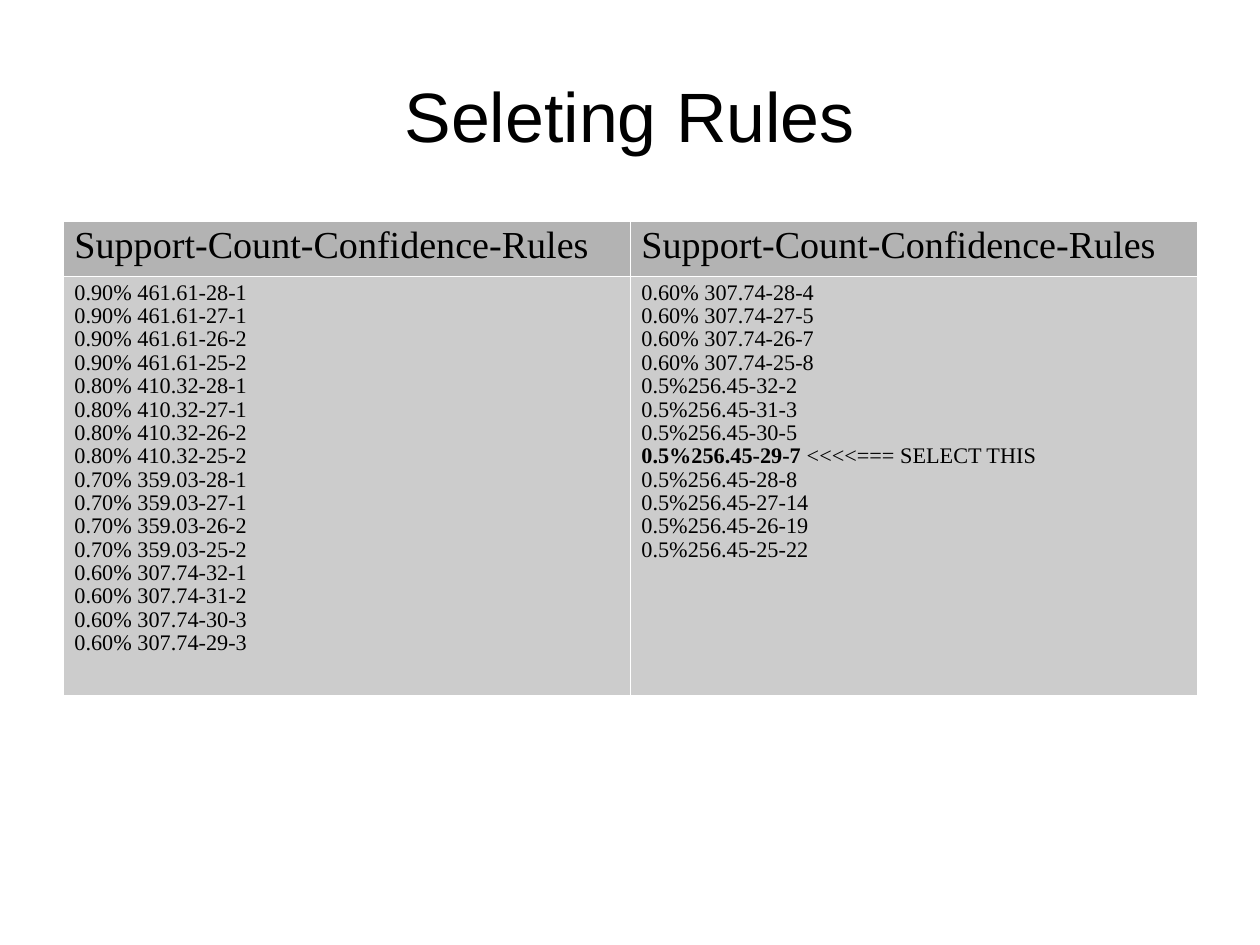
from lxml.etree import SubElement
from pptx import Presentation
from pptx.dml.color import RGBColor
from pptx.enum.text import MSO_ANCHOR as ANCHOR, PP_ALIGN as ALIGN
from pptx.oxml.ns import qn
from pptx.util import Pt

PX = 8000
BLACK = RGBColor(0x00, 0x00, 0x00)
WHITE = RGBColor(0xFF, 0xFF, 0xFF)
HEADER_GRAY = RGBColor(0xB3, 0xB3, 0xB3)
BODY_GRAY = RGBColor(0xCC, 0xCC, 0xCC)
SANS = "Arial"
SERIF = "Times New Roman"

HEADER = "Support-Count-Confidence-Rules"
SELECTED = "0.5%256.45-29-7"
SELECT_NOTE = " <<<<=== SELECT THIS"
RULES = [
    [
        "0.90% 461.61-28-1", "0.90% 461.61-27-1",
        "0.90% 461.61-26-2", "0.90% 461.61-25-2",
        "0.80% 410.32-28-1", "0.80% 410.32-27-1",
        "0.80% 410.32-26-2", "0.80% 410.32-25-2",
        "0.70% 359.03-28-1", "0.70% 359.03-27-1",
        "0.70% 359.03-26-2", "0.70% 359.03-25-2",
        "0.60% 307.74-32-1", "0.60% 307.74-31-2",
        "0.60% 307.74-30-3", "0.60% 307.74-29-3",
    ],
    [
        "0.60% 307.74-28-4", "0.60% 307.74-27-5",
        "0.60% 307.74-26-7", "0.60% 307.74-25-8",
        "0.5%256.45-32-2", "0.5%256.45-31-3",
        "0.5%256.45-30-5", SELECTED,
        "0.5%256.45-28-8", "0.5%256.45-27-14",
        "0.5%256.45-26-19", "0.5%256.45-25-22",
    ],
]


def add_text(p, text, size=14, font=SERIF, bold=False, spacing=0.95, align=ALIGN.LEFT):
    p.alignment = align
    p.line_spacing = spacing
    r = p.add_run()
    r.text = text
    r.font.size = Pt(size)
    r.font.name = font
    r.font.bold = bold
    r.font.color.rgb = BLACK


def add_title(s, text, left, top, width, height):
    sp = s.shapes.add_textbox(left * PX, top * PX, width * PX, height * PX)
    tf = sp.text_frame
    tf.word_wrap = True
    tf.vertical_anchor = ANCHOR.MIDDLE
    tf.margin_left = tf.margin_right = tf.margin_bottom = 0
    tf.margin_top = 5 * PX
    add_text(tf.paragraphs[0], text, size=44, font=SANS, spacing=0.93, align=ALIGN.CENTER)


def style_cell(cell, color):
    cell.fill.solid()
    cell.fill.fore_color.rgb = color
    tcPr = cell._tc.get_or_add_tcPr()
    for i, side in enumerate(("lnL", "lnR", "lnT", "lnB")):
        ln = SubElement(tcPr, qn(f"a:{side}"), w="720")
        fill = SubElement(ln, qn("a:solidFill"))
        SubElement(fill, qn("a:srgbClr"), val=str(WHITE))
        tcPr.insert(i, ln)


def fill_rules(tf, rules):
    for i, rule in enumerate(rules):
        p = tf.add_paragraph() if i else tf.paragraphs[0]
        add_text(p, rule, bold=rule == SELECTED)
        if rule == SELECTED:
            add_text(p, SELECT_NOTE)


def add_rules_table(s, left, top, col_width, row_heights):
    cols = len(RULES)
    table = s.shapes.add_table(
        len(row_heights), cols, left * PX, top * PX,
        cols * col_width * PX, sum(row_heights) * PX,
    ).table
    for row, height in zip(table.rows, row_heights):
        row.height = height * PX
    for c, rules in enumerate(RULES):
        table.columns[c].width = col_width * PX
        header, body = table.cell(0, c), table.cell(1, c)
        style_cell(header, HEADER_GRAY)
        style_cell(body, BODY_GRAY)
        add_text(header.text_frame.paragraphs[0], HEADER, size=24)
        fill_rules(body.text_frame, rules)


def main():
    prs = Presentation()
    prs.slide_width = 1260 * PX
    prs.slide_height = 945 * PX
    s = prs.slides.add_slide(prs.slide_layouts[6])
    add_title(s, "Seleting Rules", 63, 38, 1134, 158)
    add_rules_table(s, 63, 221, 567, (54, 419))
    prs.save("out.pptx")


if __name__ == "__main__":
    main()
